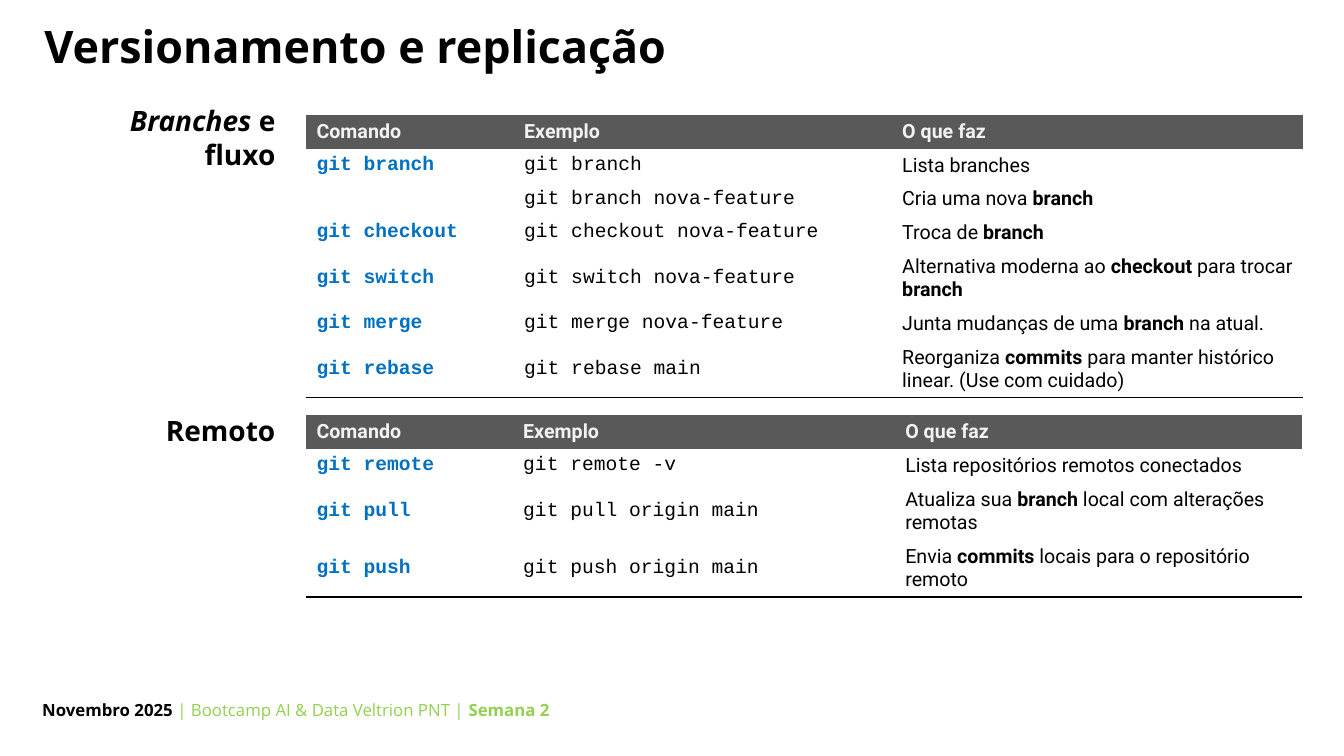
from dataclasses import dataclass

from lxml import etree
from pptx import Presentation
from pptx.dml.color import RGBColor
from pptx.enum.text import MSO_ANCHOR, MSO_AUTO_SIZE, PP_ALIGN
from pptx.oxml.ns import qn
from pptx.util import Inches, Pt

TOP, MIDDLE = MSO_ANCHOR.TOP, MSO_ANCHOR.MIDDLE
LEFT, RIGHT = PP_ALIGN.LEFT, PP_ALIGN.RIGHT
NO_FIT = MSO_AUTO_SIZE.NONE

BLACK = RGBColor(0x00, 0x00, 0x00)
GREY = RGBColor(0x59, 0x59, 0x59)
PALE = RGBColor(0xF2, 0xF2, 0xF2)
BLUE = RGBColor(0x00, 0x70, 0xC0)
GREEN = RGBColor(0x92, 0xD0, 0x50)

SANS, BODY, CODE = "Open Sans", "Roboto", "Courier New"
NO_STYLE = "{2D5ABB26-0587-4C30-8999-92F81FD0307C}"
WIDTH, HEIGHT = Inches(13.33), Inches(7.5)
CELL_SIZE = 14
TABLE_LEFT = 22.8
SINGLE, DOUBLE = 4.4, 7.5
HEADINGS = ("Comando", "Exemplo", "O que faz")


@dataclass(frozen=True)
class Span:
    text: str
    bold: bool = True
    italic: bool = False
    color: RGBColor = BLACK


@dataclass(frozen=True)
class Box:
    left: float
    top: float
    width: float
    height: float


@dataclass(frozen=True)
class Label:
    box: Box
    spans: tuple[Span, ...]
    size: int
    align: PP_ALIGN = RIGHT
    wrap: bool = True


@dataclass(frozen=True)
class Command:
    name: str
    example: str
    effect: str
    height: float = SINGLE


@dataclass(frozen=True)
class CommandTable:
    top: float
    columns: tuple[float, float, float]
    commands: tuple[Command, ...]


TITLE_BOX = Box(2.55, 2.67, 95.2, 8.53)

LABELS = (
    Label(Box(5.25, 13.07, 15.98, 10.27),
          (Span("Branches", italic=True), Span(" e fluxo")), 20),
    Label(Box(7.05, 54, 14.18, 5.87), (Span("Remoto"),), 20),
    Label(Box(2.4, 91.87, 39.68, 6.67),
          (Span("Novembro 2025 "),
           Span("| Bootcamp AI & Data Veltrion PNT | ", bold=False, color=GREEN),
           Span("Semana 2", color=GREEN)), 12, LEFT, False),
)

TABLES = (
    CommandTable(15.2, (15.45, 28.13, 30.6), (
        Command("git branch", "git branch", "Lista branches"),
        Command("", "git branch nova-feature", "Cria uma nova *branch*"),
        Command("git checkout", "git checkout nova-feature", "Troca de *branch*"),
        Command("git switch", "git switch nova-feature",
                "Alternativa moderna ao *checkout* para trocar *branch*", DOUBLE),
        Command("git merge", "git merge nova-feature",
                "Junta mudanças de uma *branch* na atual."),
        Command("git rebase", "git rebase main",
                "Reorganiza *commits* para manter histórico linear. (Use com cuidado)",
                DOUBLE),
    )),
    CommandTable(54.93, (15.38, 28.43, 30.3), (
        Command("git remote", "git remote -v", "Lista repositórios remotos conectados"),
        Command("git pull", "git pull origin main",
                "Atualiza sua *branch* local com alterações remotas", DOUBLE),
        Command("git push", "git push origin main",
                "Envia *commits* locais para o repositório remoto", DOUBLE),
    )),
)


def across(share: float) -> int:
    return round(WIDTH * share / 100)


def down(share: float) -> int:
    return round(HEIGHT * share / 100)


def place(box: Box) -> tuple[int, int, int, int]:
    return across(box.left), down(box.top), across(box.width), down(box.height)


def write(p, spans: tuple[Span, ...], font: str, size: int) -> None:
    for span in spans:
        r = p.add_run()
        r.text = span.text
        r.font.name = font
        r.font.size = Pt(size)
        r.font.bold = span.bold
        r.font.italic = span.italic
        r.font.color.rgb = span.color


def emphasised(text: str) -> tuple[Span, ...]:
    parts = enumerate(text.split("*"))
    return tuple(Span(part, bold=i % 2 == 1) for i, part in parts if part)


def add_title(slide, text: str) -> None:
    sp = slide.shapes.title
    sp.left, sp.top, sp.width, sp.height = place(TITLE_BOX)
    tf = sp.text_frame
    tf.auto_size = NO_FIT
    tf.word_wrap = True
    tf.vertical_anchor = TOP
    p = tf.paragraphs[0]
    p.alignment = LEFT
    p.line_spacing = 0.9
    write(p, (Span(text),), SANS, 32)


def add_label(slide, label: Label) -> None:
    tf = slide.shapes.add_textbox(*place(label.box)).text_frame
    tf.word_wrap = label.wrap
    p = tf.paragraphs[0]
    p.alignment = label.align
    write(p, label.spans, SANS, label.size)


def fill_cell(cell, spans: tuple[Span, ...], font: str) -> None:
    cell.vertical_anchor = MIDDLE
    cell.fill.background()
    p = cell.text_frame.paragraphs[0]
    write(p, spans, font, CELL_SIZE)
    if not spans:
        etree.SubElement(p._p, qn("a:endParaRPr"), sz=str(CELL_SIZE * 100))


def underline(cell) -> None:
    line = etree.Element(qn("a:lnB"), w=str(Pt(1)))
    fill = etree.SubElement(line, qn("a:solidFill"))
    etree.SubElement(fill, qn("a:srgbClr"), val=str(BLACK))
    cell._tc.get_or_add_tcPr().insert(0, line)


def add_command_table(slide, spec_table: CommandTable) -> None:
    heights = [SINGLE] + [command.height for command in spec_table.commands]
    box = Box(TABLE_LEFT, spec_table.top, sum(spec_table.columns), sum(heights))
    table = slide.shapes.add_table(len(heights), len(HEADINGS), *place(box)).table
    table.first_row = table.horz_banding = False
    table._tbl.tblPr.find(qn("a:tableStyleId")).text = NO_STYLE
    for column, width in zip(table.columns, spec_table.columns):
        column.width = across(width)
    for row, height in zip(table.rows, heights):
        row.height = down(height)
    for i, heading in enumerate(HEADINGS):
        cell = table.cell(0, i)
        fill_cell(cell, (Span(heading, color=PALE),), BODY)
        cell.fill.solid()
        cell.fill.fore_color.rgb = GREY
    for i, command in enumerate(spec_table.commands, start=1):
        name = (Span(command.name, color=BLUE),) if command.name else ()
        fill_cell(table.cell(i, 0), name, CODE)
        fill_cell(table.cell(i, 1), (Span(command.example, bold=False),), CODE)
        fill_cell(table.cell(i, 2), emphasised(command.effect), BODY)
    for i in range(len(HEADINGS)):
        underline(table.cell(len(heights) - 1, i))


def main() -> None:
    prs = Presentation()
    prs.slide_width, prs.slide_height = WIDTH, HEIGHT
    slide = prs.slides.add_slide(prs.slide_layouts[5])
    add_title(slide, "Versionamento e replicação")
    for label in LABELS:
        add_label(slide, label)
    for command_table in TABLES:
        add_command_table(slide, command_table)
    prs.save("out.pptx")


if __name__ == "__main__":
    main()
